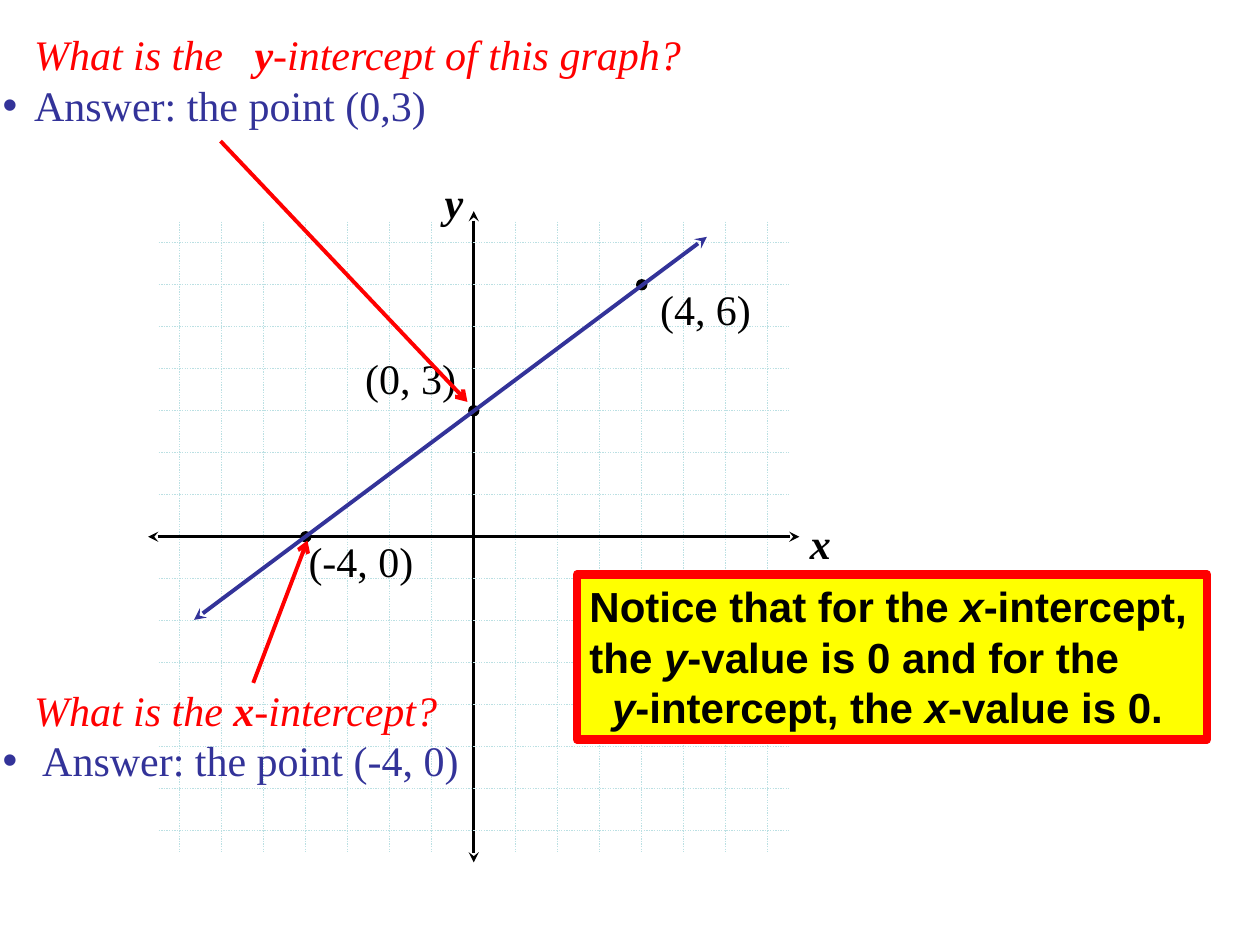
from dataclasses import dataclass

import pptx
import pptx.dml.color
import pptx.enum.dml
import pptx.enum.shapes
import pptx.enum.text
import pptx.oxml.ns
import pptx.util
from lxml import etree

Inches = pptx.util.Inches
Pt = pptx.util.Pt
RGBColor = pptx.dml.color.RGBColor
qn = pptx.oxml.ns.qn

BLACK = RGBColor(0x00, 0x00, 0x00)
RED = RGBColor(0xFF, 0x00, 0x00)
YELLOW = RGBColor(0xFF, 0xFF, 0x00)
INDIGO = RGBColor(0x33, 0x33, 0x99)
GRID_BLUE = RGBColor(0xBB, 0xE0, 0xE3)

SERIF, SANS = "Times New Roman", "Arial"
ORIGIN_X, ORIGIN_Y = 3.76, 4.26
UNIT = 1 / 3
GRID_REACH, AXIS_REACH = 2.5, 2.585
DOT = 0.08


@dataclass
class GraphPoint:
    x: int
    y: int
    label: str
    left: float
    top: float
    width: float


@dataclass
class Answer:
    question: list
    answer: str
    gap_before: float


GRAPH_POINTS = [
    GraphPoint(4, 6, "(4, 6)", 5.14, 2.2, 1.01),
    GraphPoint(0, 3, "(0, 3)", 2.8, 2.75, 1.01),
    GraphPoint(-4, 0, "(-4, 0)", 2.35, 4.2, 1.19),
]
ANSWERS = [
    # The wide space before y is one tracked space
    Answer([("What is the", {}), (" ", {"tracking": 12}), ("y", {"bold": True}),
            ("-intercept of this graph?", {})], "Answer: the point (0,3)", 0),
    Answer([("What is the ", {}), ("x", {"bold": True}), ("-intercept?", {})],
           " Answer: the point (-4, 0)", 317),
]


def write(paragraph, text: str, *, font: str = SERIF, size: float = 24,
          color: RGBColor = BLACK, bold: bool = False, italic: bool = False,
          tracking: float = 0) -> None:
    run = paragraph.add_run()
    run.text = text
    run.font.name, run.font.size = font, Pt(size)
    run.font.bold, run.font.italic = bold, italic
    run.font.color.rgb = color
    if tracking:
        run.font._element.set("spc", str(int(tracking * 100)))


def set_paragraph(paragraph, margin: float, indent: float = 0,
                  before: float = 0, bullet: bool = False) -> None:
    paragraph.alignment = pptx.enum.text.PP_ALIGN.LEFT
    paragraph.space_before = Pt(before)
    properties = paragraph._p.get_or_add_pPr()
    properties.set("marL", str(Inches(margin)))
    properties.set("indent", str(Inches(indent)))
    if bullet:
        etree.SubElement(properties, qn("a:buChar")).set("char", "•")
    else:
        etree.SubElement(properties, qn("a:buNone"))


def draw_line(shapes, start: tuple, end: tuple, color: RGBColor, width: float,
              head: str = "", tail: str = "", dotted: bool = False) -> None:
    line = shapes.add_connector(pptx.enum.shapes.MSO_CONNECTOR.STRAIGHT,
                                *(Inches(v) for v in (*start, *end)))
    line.line.color.rgb = color
    line.line.width = Pt(width)
    if dotted:
        line.line.dash_style = pptx.enum.dml.MSO_LINE.ROUND_DOT
    outline = line.line._get_or_add_ln()
    for tag, arrow in (("a:headEnd", head), ("a:tailEnd", tail)):
        if arrow:
            etree.SubElement(outline, qn(tag)).set("type", arrow)
    etree.SubElement(line._element.spPr, qn("a:effectLst"))


def draw_shape(shapes, kind, box: tuple, fill: RGBColor, outline: RGBColor,
               width: float):
    shape = shapes.add_shape(kind, *(Inches(v) for v in box))
    shape.shadow.inherit = False
    shape.fill.solid()
    shape.fill.fore_color.rgb = fill
    shape.line.color.rgb = outline
    shape.line.width = Pt(width)
    return shape


def draw_label(shapes, text: str, box: tuple, wrap: bool = True, **style) -> None:
    frame = shapes.add_textbox(*(Inches(v) for v in box)).text_frame
    frame.word_wrap = wrap
    frame.auto_size = pptx.enum.text.MSO_AUTO_SIZE.SHAPE_TO_FIT_TEXT
    write(frame.paragraphs[0], text, **style)


def draw_axes_and_grid(shapes) -> None:
    for vertical in (True, False):
        def ruled(offset: float, reach: float, *style, **ends) -> None:
            if vertical:
                x = ORIGIN_X + offset
                start, end = (x, ORIGIN_Y - reach), (x, ORIGIN_Y + reach)
            else:
                y = ORIGIN_Y + offset
                start, end = (ORIGIN_X - reach, y), (ORIGIN_X + reach, y)
            draw_line(shapes, start, end, *style, **ends)

        ruled(0, AXIS_REACH, BLACK, 1.5, head="stealth", tail="stealth")
        for step in range(-7, 8):
            if step:
                ruled(step * UNIT, GRID_REACH, GRID_BLUE, 0.75, dotted=True)
    draw_label(shapes, "x", (6.33, 4.06, 0.37, 0.5), wrap=False, bold=True, italic=True)
    draw_label(shapes, "y", (3.43, 1.35, 0.35, 0.5), wrap=False, bold=True, italic=True)


def draw_points(shapes) -> None:
    for point in GRAPH_POINTS:
        box = (ORIGIN_X + point.x * UNIT - DOT / 2,
               ORIGIN_Y - point.y * UNIT - DOT / 2, DOT, DOT)
        draw_shape(shapes, pptx.enum.shapes.MSO_SHAPE.OVAL, box, BLACK, BLACK, 0.75)
    for point in GRAPH_POINTS:
        draw_label(shapes, point.label, (point.left, point.top, point.width, 0.5))


def fill_questions(body) -> None:
    body.left, body.top = Inches(-0.33), Inches(0.18)
    body.width, body.height = Inches(9.13), Inches(6.16)
    frame = body.text_frame
    frame.auto_size = pptx.enum.text.MSO_AUTO_SIZE.NONE
    question = frame.paragraphs[0]
    for item in ANSWERS:
        if item is not ANSWERS[0]:
            question = frame.add_paragraph()
        set_paragraph(question, 0.5, before=item.gap_before)
        for text, style in item.question:
            write(question, text, color=RED, italic=True, **style)
        reply = frame.add_paragraph()
        set_paragraph(reply, 0.5, indent=-0.25, bullet=True)
        write(reply, item.answer, color=INDIGO)


def draw_notice(shapes) -> None:
    notice = draw_shape(shapes, pptx.enum.shapes.MSO_SHAPE.RECTANGLE,
                        (4.58, 4.56, 5, 1.31), YELLOW, RED, 5)
    frame = notice.text_frame
    frame.word_wrap = True
    frame.vertical_anchor = pptx.enum.text.MSO_ANCHOR.TOP
    lines = [
        (0, ["Notice that for the ", "x", "-intercept, the ", "y",
             "-value is 0 and for the"]),
        (0.18, ["y", "-intercept, the ", "x", "-value is 0."]),
    ]
    for number, (margin, pieces) in enumerate(lines):
        paragraph = frame.add_paragraph() if number else frame.paragraphs[0]
        set_paragraph(paragraph, margin)
        for piece in pieces:
            write(paragraph, piece, font=SANS, bold=True, italic=piece in ("x", "y"))


def main() -> None:
    deck = pptx.Presentation()
    deck.slide_width, deck.slide_height = Inches(10), Inches(7.5)
    slide = deck.slides.add_slide(deck.slide_layouts[1])
    shapes = slide.shapes
    title, questions = shapes.title, slide.placeholders[1]
    title.element.getparent().remove(title.element)

    # Graph
    draw_axes_and_grid(shapes.add_group_shape().shapes)
    draw_points(shapes.add_group_shape().shapes)
    draw_line(shapes, (5.61, 1.88), (1.54, 4.92), INDIGO, 2.25,
              head="stealth", tail="stealth")

    # Questions and answers, in front of the graph
    fill_questions(questions)
    questions.element.getparent().append(questions.element)

    # Pointers to the intercepts, and the closing remark
    draw_line(shapes, (1.75, 1.12), (3.71, 3.19), RED, 2.25, tail="arrow")
    draw_line(shapes, (2.01, 5.42), (2.44, 4.29), RED, 2.25, tail="arrow")
    draw_notice(shapes)
    deck.save("out.pptx")


if __name__ == "__main__":
    main()
